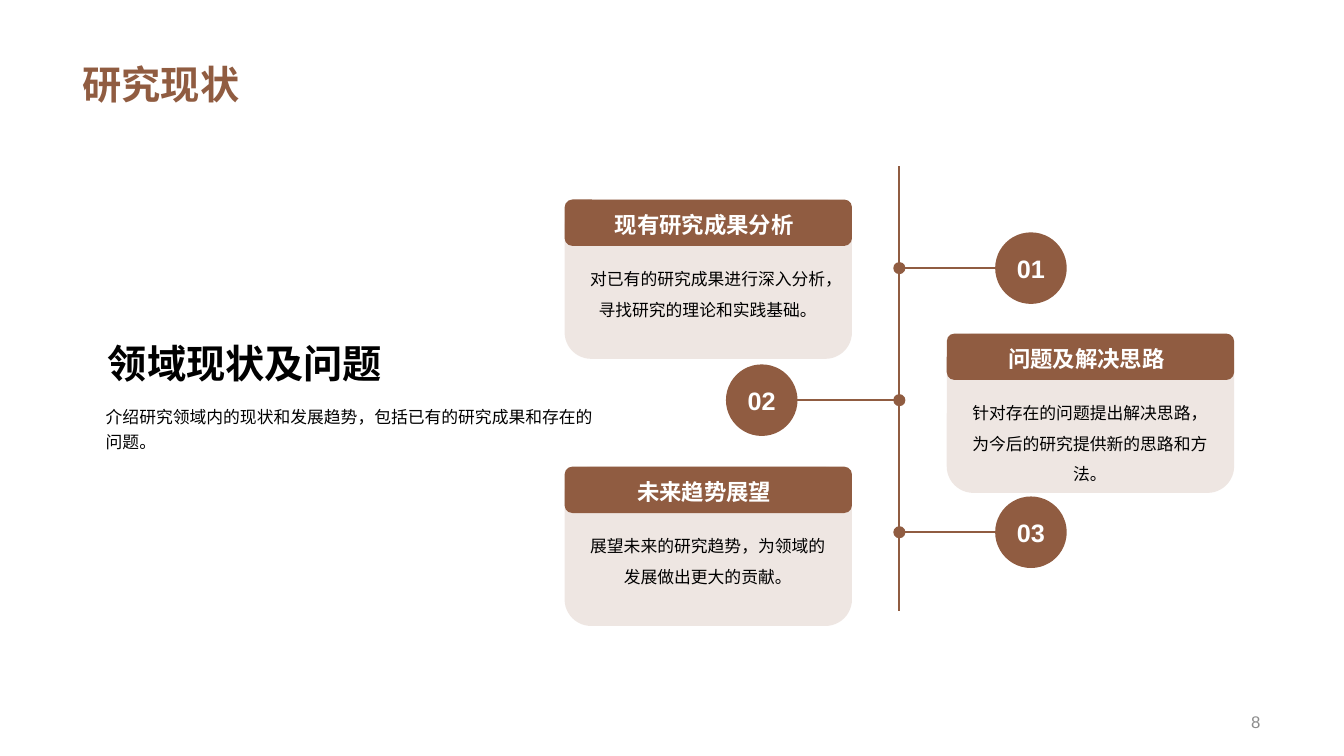
"""Build the research status slide with a three-step vertical timeline."""
from lxml.etree import SubElement
from pptx import Presentation
from pptx.dml.color import RGBColor
from pptx.enum.shapes import MSO_CONNECTOR as CONN, MSO_SHAPE as SHAPE
from pptx.enum.text import MSO_ANCHOR as ANCHOR, MSO_AUTO_SIZE as AUTO, PP_ALIGN as ALIGN
from pptx.oxml.ns import qn
from pptx.util import Inches, Pt

BROWN, WHITE, BLACK, GREY = "905C41", "FFFFFF", "000000", "8C8C8C"
AXIS, DOT, CIRCLE = 8.92, 0.12, 0.71
CARD_W, CARD_H, HEAD_H = 2.85, 1.58, 0.46


def write(s, text, size, color, bold=False, align=ALIGN.LEFT, anchor=ANCHOR.TOP, spacing=1.0):
    tf = s.text_frame
    tf.word_wrap = True
    tf.auto_size = AUTO.NONE
    tf.vertical_anchor = anchor
    p = tf.paragraphs[0]
    p.alignment = align
    p.line_spacing = spacing
    r = p.add_run()
    r.text = text
    r.font.name = "Arial"
    r.font.size = Pt(size)
    r.font.bold = bold
    r.font.color.rgb = RGBColor.from_string(color)
    return tf


def draw(kind, *box):
    lengths = [Inches(v) for v in box]
    if kind == CONN.STRAIGHT:
        s = shapes.add_connector(kind, *lengths)
        s.line.color.rgb = RGBColor.from_string(BROWN)
        s.line.width = Pt(1.5)
        SubElement(s._element.spPr, qn("a:effectLst"))
    else:
        s = shapes.add_shape(kind, *lengths)
        s.shadow.inherit = False
        s.fill.solid()
        s.fill.fore_color.rgb = RGBColor.from_string(BROWN)
        s.line.fill.background()
    return s


prs = Presentation()
prs.slide_width, prs.slide_height = Inches(13.33), Inches(7.5)
slide = prs.slides.add_slide(prs.slide_layouts[5])
shapes = slide.shapes

title = shapes.title
title.left, title.top = Inches(0.72), Inches(0)
title.width, title.height = Inches(11.88), Inches(1.12)
write(title, "研究现状", 28, BROWN, bold=True, anchor=ANCHOR.BOTTOM)

draw(CONN.STRAIGHT, AXIS, 1.65, AXIS, 6.06)

steps = [
    ("01", 2.66, 9.87, 5.6, 1.98, "现有研究成果分析",
     "对已有的研究成果进行深入分析，寻找研究的理论和实践基础。"),
    ("02", 3.97, 7.2, 9.39, 3.31, "问题及解决思路",
     "针对存在的问题提出解决思路，为今后的研究提供新的思路和方法。"),
    ("03", 5.28, 9.87, 5.6, 4.63, "未来趋势展望",
     "展望未来的研究趋势，为领域的发展做出更大的贡献。"),
]
for number, y, circle_x, card_x, card_y, heading, body in steps:
    draw(SHAPE.OVAL, AXIS - DOT / 2, y - DOT / 2, DOT, DOT)
    draw(CONN.STRAIGHT, AXIS, y, circle_x + CIRCLE / 2, y)
    circle = draw(SHAPE.OVAL, circle_x, y - CIRCLE / 2, CIRCLE, CIRCLE)
    write(circle, number, 18, WHITE, bold=True, align=ALIGN.CENTER, anchor=ANCHOR.MIDDLE)

    card = draw(SHAPE.ROUNDED_RECTANGLE, card_x, card_y, CARD_W, CARD_H)
    tint = card._element.spPr.find(qn("a:solidFill"))[0]
    SubElement(tint, qn("a:alpha"), val="15000")
    draw(SHAPE.ROUNDED_RECTANGLE, card_x, card_y, CARD_W, HEAD_H)

    s = shapes.add_textbox(Inches(card_x + 0.21), Inches(card_y + 0.05), Inches(2.35), Inches(0.38))
    write(s, heading, 16, WHITE, bold=True, align=ALIGN.CENTER, anchor=ANCHOR.BOTTOM)
    s = shapes.add_textbox(Inches(card_x + 0.11), Inches(card_y + 0.54), Inches(2.62), Inches(0.97))
    write(s, body, 12, BLACK, align=ALIGN.CENTER, spacing=1.5)

s = shapes.add_textbox(Inches(0.95), Inches(3.24), Inches(5.12), Inches(0.71))
tf = write(s, "领域现状及问题", 28, BLACK, bold=True, anchor=ANCHOR.BOTTOM)
tf.margin_left = tf.margin_right = tf.margin_top = tf.margin_bottom = Inches(0.12)

s = shapes.add_textbox(Inches(0.95), Inches(3.95), Inches(5.12), Inches(0.56))
write(s, "介绍研究领域内的现状和发展趋势，包括已有的研究成果和存在的问题。", 12, BLACK, spacing=1.2)

s = shapes.add_textbox(Inches(8.6), Inches(7.01), Inches(4), Inches(0.3))
write(s, "8", 12, GREY, align=ALIGN.RIGHT, anchor=ANCHOR.MIDDLE)

prs.save("out.pptx")
